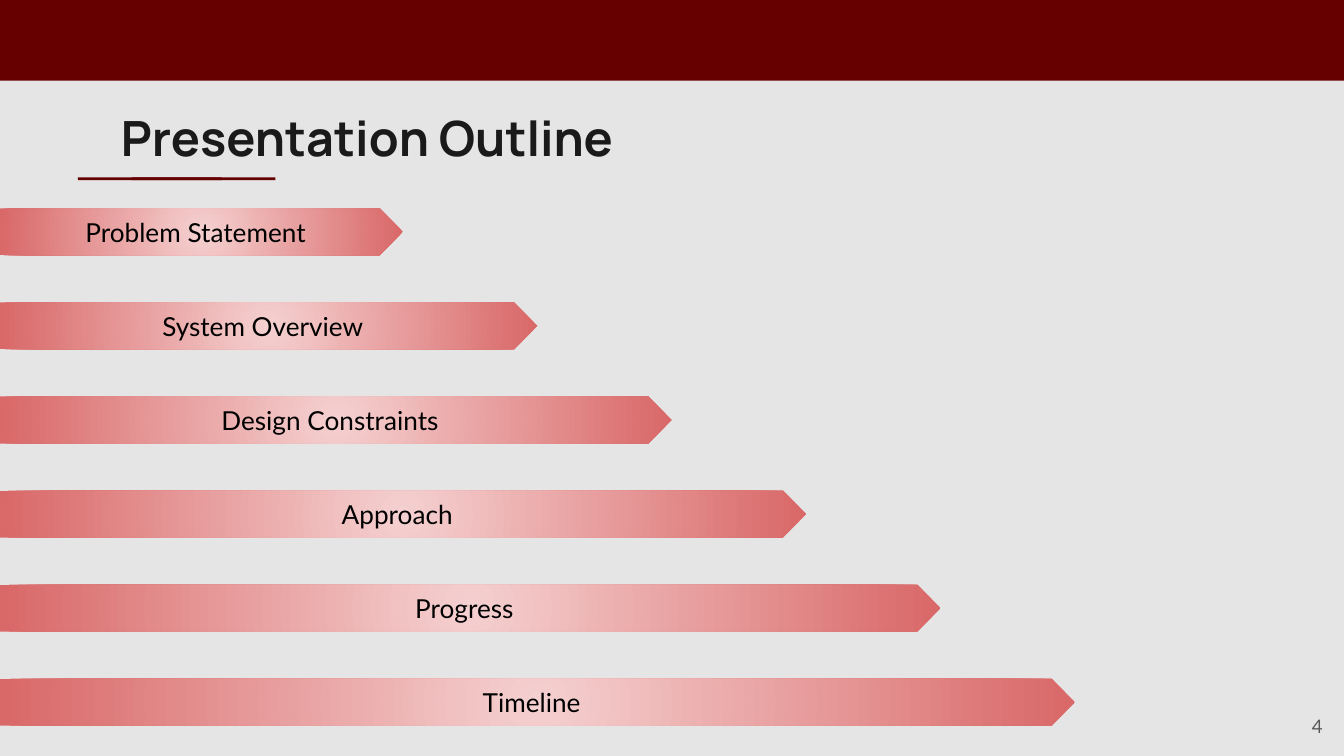
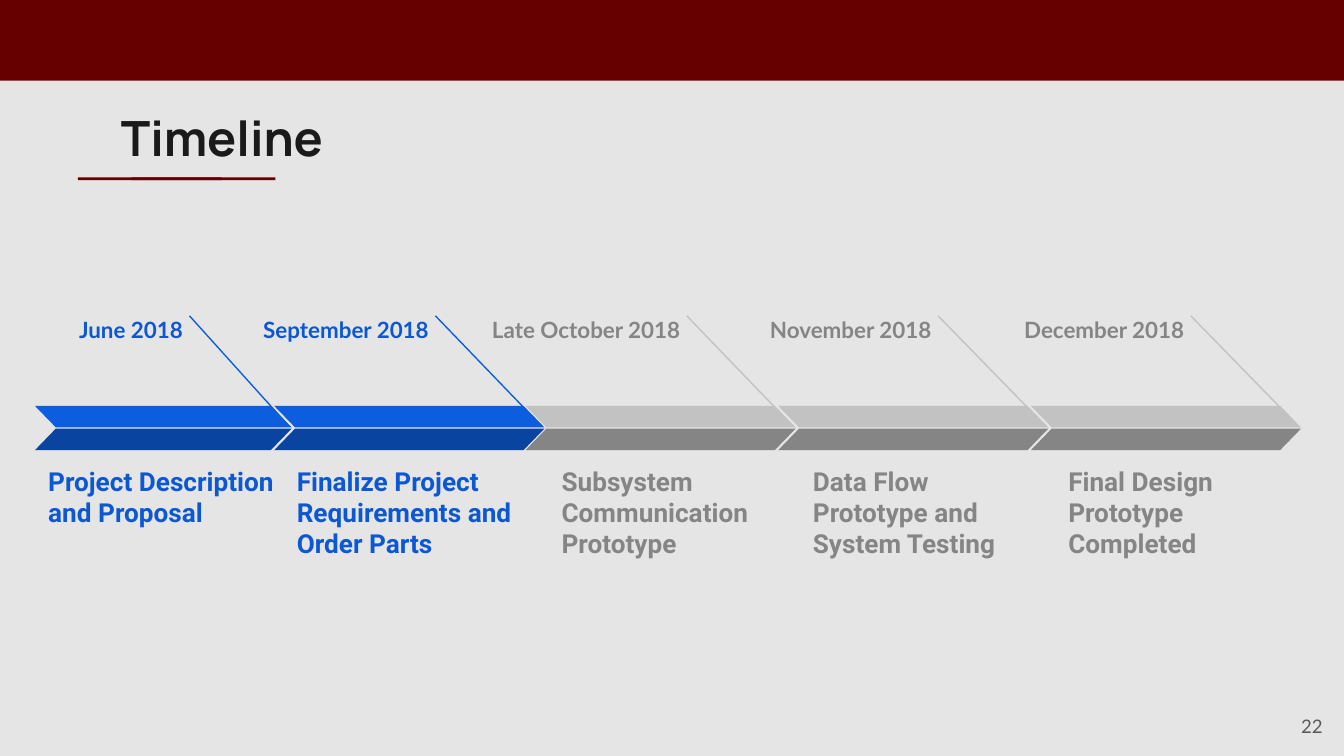
"""Build the outline and timeline slides of a project review."""
from lxml import etree
from pptx import Presentation
from pptx import util as u
from pptx.dml.color import RGBColor
from pptx.enum import shapes, text
from pptx.oxml.ns import qn

PX = 9144
MAROON = RGBColor(0x66, 0x00, 0x00)
PAPER = RGBColor(0xE5, 0xE5, 0xE5)
INK = RGBColor(0x1A, 0x1A, 0x1A)
BLACK = RGBColor(0x00, 0x00, 0x00)
NUMBER_GREY = RGBColor(0x59, 0x59, 0x59)
PALE_RED = RGBColor(0xF5, 0xD0, 0xD0)
RED = RGBColor(0xD9, 0x68, 0x68)
BLUE = RGBColor(0x0D, 0x5D, 0xDF)
DARK_BLUE = RGBColor(0x09, 0x44, 0xA1)
TEXT_BLUE = RGBColor(0x0C, 0x58, 0xD3)
LIGHT_GREY = RGBColor(0xC2, 0xC2, 0xC2)
GREY = RGBColor(0x85, 0x85, 0x85)

SHAPE = shapes.MSO_SHAPE
ALIGN = text.PP_ALIGN
ANCHOR = text.MSO_ANCHOR


def write(box, words, size, color, font="Lato", bold=False,
          align=ALIGN.LEFT, anchor=ANCHOR.TOP, spacing=None, after=None):
    """Put one formatted paragraph into a box."""
    frame = box.text_frame
    frame.word_wrap = True
    frame.auto_size = text.MSO_AUTO_SIZE.NONE
    frame.vertical_anchor = anchor
    frame.margin_left = frame.margin_right = 10 * PX
    frame.margin_top = frame.margin_bottom = 10 * PX
    para = frame.paragraphs[0]
    para.alignment = align
    para.line_spacing = spacing
    para.space_after = after
    span = para.add_run()
    span.text = words
    span.font.name = font
    span.font.size = u.Pt(size)
    span.font.bold = bold
    span.font.color.rgb = color


def block(page, kind, left, top, width, height, color):
    """Add a filled shape without outline or shadow."""
    shape = page.shapes.add_shape(kind, left * PX, top * PX, width * PX, height * PX)
    shape.shadow.inherit = False
    shape.line.fill.background()
    shape.fill.solid()
    shape.fill.fore_color.rgb = color
    return shape


deck = Presentation()
deck.slide_width = 1000 * PX
deck.slide_height = u.Inches(5.625)
layout = deck.slide_layouts[5]
layout.background.fill.solid()
layout.background.fill.fore_color.rgb = PAPER
for holder in list(layout.placeholders):
    if holder.placeholder_format.idx:
        holder._element.getparent().remove(holder._element)

pages = []
for title, number in (("Presentation Outline", "4"), ("Timeline", "22")):
    page = deck.slides.add_slide(layout)
    heading = page.shapes.title
    heading.left, heading.top = 80 * PX, 70 * PX
    heading.width, heading.height = 841 * PX, 59 * PX
    write(heading, title, 26, INK, font="Manrope", bold=True)
    box = page.shapes.add_textbox(934 * PX, 519 * PX, 60 * PX, 43 * PX)
    write(box, number, 10, NUMBER_GREY, align=ALIGN.RIGHT, anchor=ANCHOR.MIDDLE)
    pages.append(page)
outline, timeline = pages

bands = ((0, 0, 1000, 60), (98, 132, 107, 2), (58, 132, 107, 2))
for index, band in enumerate(bands):
    shape = block(outline, SHAPE.RECTANGLE, *band, MAROON)
    layout.shapes._spTree.insert(2 + index, shape._element)

topics = ("Problem Statement", "System Overview", "Design Constraints",
          "Approach", "Progress", "Timeline")
for index, topic in enumerate(topics):
    arrow = block(outline, SHAPE.PENTAGON, 0, 155 + 70 * index, 300 + 100 * index, 35, RED)
    arrow.fill.gradient()
    for stop, color, position in zip(arrow.fill.gradient_stops, (PALE_RED, RED), (0, 1)):
        stop.color.rgb = color
        stop.position = position
    gradient = arrow._element.spPr.find(qn("a:gradFill"))
    gradient.remove(gradient.find(qn("a:lin")))
    glow = etree.SubElement(gradient, qn("a:path"), {"path": "circle"})
    etree.SubElement(glow, qn("a:fillToRect"), dict.fromkeys("ltrb", "50000"))
    write(arrow, topic, 14, BLACK, align=ALIGN.CENTER, anchor=ANCHOR.MIDDLE)

done = (BLUE, DARK_BLUE, TEXT_BLUE)
ahead = (LIGHT_GREY, GREY, GREY)
milestones = (
    ("June 2018", 119, 141, "Project Description and Proposal", 26, 191, 59, 26, 191, done),
    ("September 2018", 154, 324, "Finalize Project Requirements and Order Parts",
     211, 191, 76, 204, 201, done),
    ("Late October 2018", 169, 511, "Subsystem Communication Prototype",
     408, 165, 68, 391, 201, ahead),
    ("November 2018", 187, 698, "Data Flow Prototype and System Testing",
     595, 165, 81, 579, 201, ahead),
    ("December 2018", 187, 886, "Final Design Prototype Completed",
     785, 165, 49, 767, 201, ahead),
)
for (date, date_width, line_left, task, task_left, task_width, task_height,
     bar_left, bar_width, (upper, lower, ink)) in milestones:
    box = timeline.shapes.add_textbox(
        (line_left + 5 - date_width) * PX, 222 * PX, date_width * PX, 26 * PX)
    write(box, date, 12, ink, bold=True, align=ALIGN.RIGHT, spacing=1.15, after=u.Pt(16))
    box = timeline.shapes.add_textbox(
        task_left * PX, 336 * PX, task_width * PX, task_height * PX)
    write(box, task, 14, ink, font="Roboto", bold=True)

    line = timeline.shapes.add_connector(
        shapes.MSO_CONNECTOR.STRAIGHT, line_left * PX, 235 * PX,
        (bar_left + bar_width - 3) * PX, 316 * PX)
    line.line.color.rgb = upper
    line.line.width = u.Pt(0.75)
    etree.SubElement(line._element.spPr, qn("a:effectLst"))

    for top, color in ((302, upper), (319, lower)):
        bar = block(timeline, SHAPE.PARALLELOGRAM, bar_left, top, bar_width, 16, color)
        bar.adjustments[0] = 0.97
        if color == upper:
            bar._element.spPr.find(qn("a:xfrm")).set("flipH", "1")

deck.save("out.pptx")
